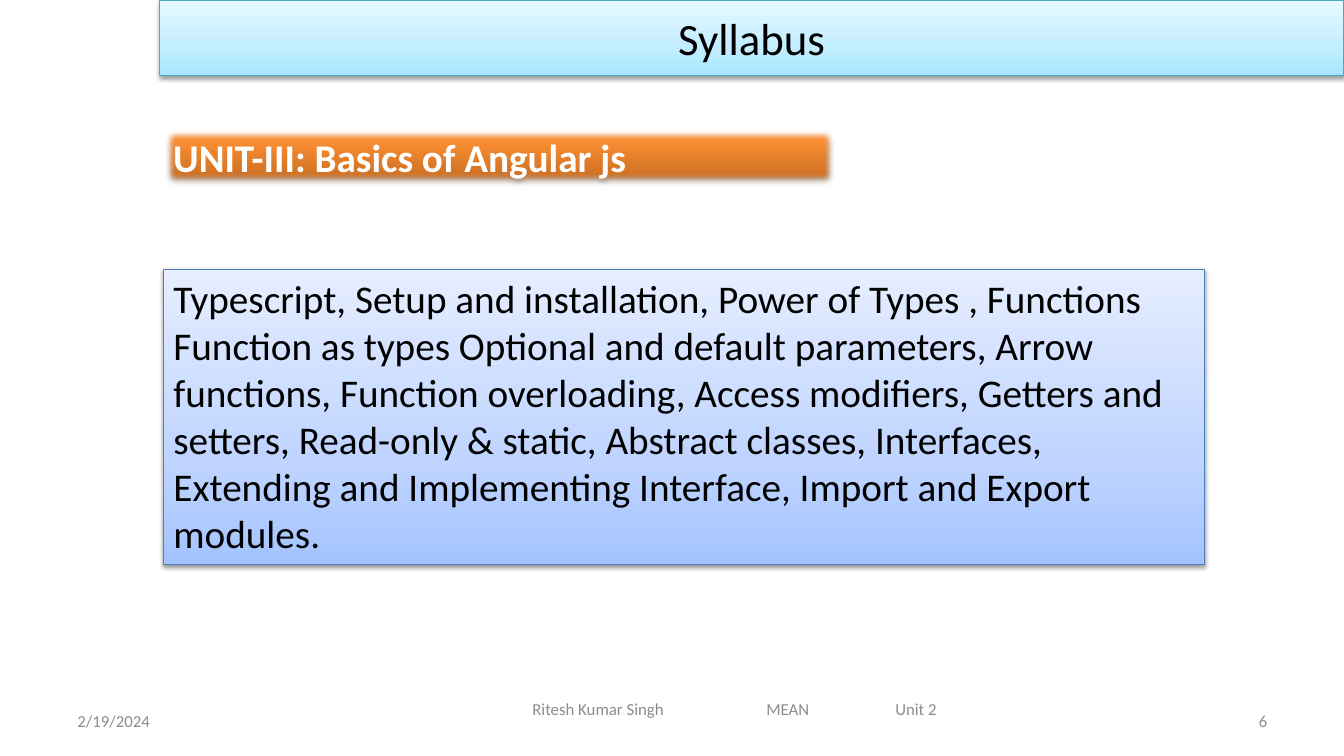
import pptx
import pptx.dml.color
import pptx.enum.shapes
import pptx.enum.text
import pptx.oxml
import pptx.oxml.ns
import pptx.util
from pptx.util import Inches

# Content
TITLE = "Syllabus"
UNIT = "UNIT-III: Basics of Angular js"
TOPICS = (
    "Typescript, Setup and installation, Power of Types , Functions "
    "Function as types Optional and default parameters, Arrow functions, "
    "Function overloading, Access modifiers, Getters and setters, "
    "Read-only & static, Abstract classes, Interfaces, Extending and "
    "Implementing Interface, Import and Export modules."
)
DATE = "2/19/2024"
FOOTER = "Ritesh Kumar Singh\tMEAN\tUnit 2"
FOOTER_TABS = (2.32, 3.6)
PAGE = "6"

COLORS = {"text": "000000", "unit text": "FFFFFF", "footer": "8C8C8C",
          "title line": "46AAC5", "topics line": "4B7EBC"}
GRADIENTS = {  # stops run from the bottom edge to the top
    "title": ((0, "A7E6FF"), (35, "C1EDFF"), (100, "E7F8FF")),
    "unit": ((0, "C2691F"), (80, "FF9034"), (100, "FF9136")),
    "topics": ((0, "A4C4FF"), (35, "BFD4FF"), (100, "E6EEFF")),
}
NS = pptx.oxml.ns.nsdecls("a")
ALIGN = pptx.enum.text.PP_ALIGN
ANCHOR = pptx.enum.text.MSO_ANCHOR


def rgb(name):
    return pptx.dml.color.RGBColor.from_string(COLORS[name])


def place(box, left, top, width, height):
    box.left, box.top = Inches(left), Inches(top)
    box.width, box.height = Inches(width), Inches(height)


def write(box, text, size, color, align, anchor, bold=False):
    frame = box.text_frame
    frame.text = text
    frame.word_wrap = True
    frame.auto_size = pptx.enum.text.MSO_AUTO_SIZE.NONE
    frame.vertical_anchor = anchor
    paragraph = frame.paragraphs[0]
    paragraph.alignment = align
    paragraph.space_before = pptx.util.Pt(0)
    for run in paragraph.runs:
        run.font.name = "Calibri"
        run.font.size = pptx.util.Pt(size)
        run.font.bold = bold
        run.font.color.rgb = rgb(color)
    return paragraph


def decorate(box, gradient, line=None, opacity=38, distance=1.6, soft=0):
    """Give a panel its vertical gradient, outline, shadow and soft edge."""
    box.fill.gradient()
    box.fill.gradient_angle = 90
    stops = "".join(
        f'<a:gs pos="{pos * 1000}"><a:srgbClr val="{color}"/></a:gs>'
        for pos, color in GRADIENTS[gradient])
    properties = box.element.spPr
    fill = properties.find(pptx.oxml.ns.qn("a:gradFill"))
    properties.replace(fill, pptx.oxml.parse_xml(
        f'<a:gradFill {NS} rotWithShape="1"><a:gsLst>{stops}</a:gsLst>'
        '<a:lin ang="16200000" scaled="0"/></a:gradFill>'))
    if line:
        box.line.color.rgb = rgb(line)
        box.line.width = pptx.util.Pt(0.75)
    else:
        box.line.fill.background()
    box.shadow.inherit = False
    effects = properties.find(pptx.oxml.ns.qn("a:effectLst"))
    effects.append(pptx.oxml.parse_xml(
        f'<a:outerShdw {NS} blurRad="{pptx.util.Pt(3.1)}" '
        f'dist="{pptx.util.Pt(distance)}" dir="5400000" rotWithShape="0">'
        f'<a:srgbClr val="000000"><a:alpha val="{opacity * 1000}"/></a:srgbClr>'
        '</a:outerShdw>'))
    if soft:
        effects.append(pptx.oxml.parse_xml(
            f'<a:softEdge {NS} rad="{pptx.util.Pt(soft)}"/>'))


presentation = pptx.Presentation()
presentation.slide_width, presentation.slide_height = Inches(13.33), Inches(7.5)
slide = presentation.slides.add_slide(presentation.slide_layouts[1])

# Title bar
title = slide.shapes.title
place(title, 1.58, 0, 11.75, 0.75)
write(title, TITLE, 32, "text", ALIGN.CENTER, ANCHOR.MIDDLE)
decorate(title, "title", "title line")

# Unit heading
unit = slide.shapes.add_shape(
    pptx.enum.shapes.MSO_SHAPE.RECTANGLE,
    Inches(1.62), Inches(1.27), Inches(6.67), Inches(0.57))
write(unit, UNIT, 28, "unit text", ALIGN.JUSTIFY, ANCHOR.TOP, bold=True)
decorate(unit, "unit", opacity=35, distance=1.8, soft=5)

# Topics
topics = slide.placeholders[1]
place(topics, 1.62, 2.67, 10.33, 2.93)
topics_paragraph = write(topics, TOPICS, 28, "text", ALIGN.LEFT, ANCHOR.TOP)
layout = topics_paragraph._p.get_or_add_pPr()
layout.set("marL", "0")
layout.set("indent", "0")
layout.append(pptx.oxml.parse_xml(f"<a:buNone {NS}/>"))
decorate(topics, "topics", "topics line")

# Date, footer and page number
footer_row = (
    (DATE, (0.67, 6.95, 3.11, 0.4), ALIGN.LEFT),
    (FOOTER, (3.17, 6.83, 8.25, 0.4), ALIGN.LEFT),
    (PAGE, (9.56, 6.95, 3.11, 0.4), ALIGN.RIGHT),
)
for text, bounds, align in footer_row:
    note = slide.shapes.add_textbox(*map(Inches, bounds))
    note_paragraph = write(note, text, 12, "footer", align, ANCHOR.MIDDLE)
    if text == FOOTER:
        note.text_frame.margin_left = Inches(2.11)
        tabs = "".join(f'<a:tab pos="{Inches(tab)}" algn="l"/>' for tab in FOOTER_TABS)
        note_paragraph._p.get_or_add_pPr().append(
            pptx.oxml.parse_xml(f"<a:tabLst {NS}>{tabs}</a:tabLst>"))

presentation.save("out.pptx")
